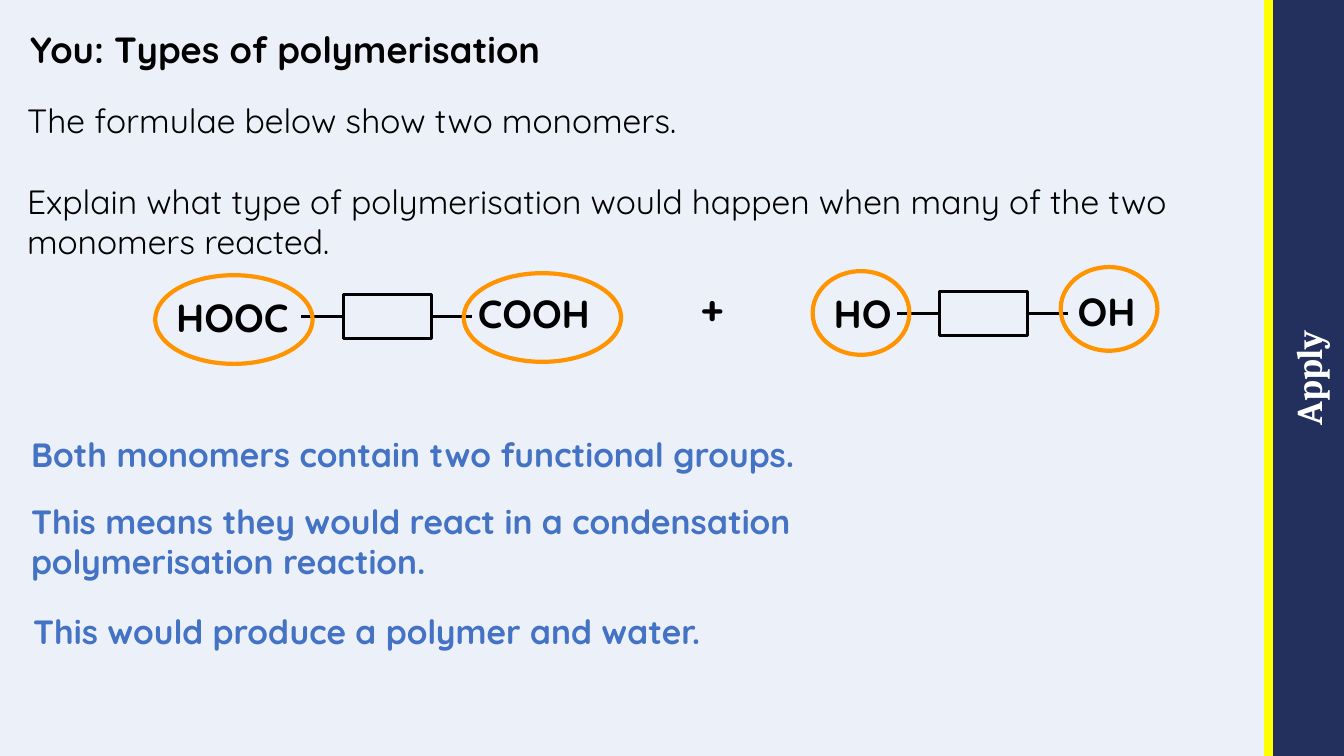
from dataclasses import dataclass

from lxml import etree
from pptx import Presentation
from pptx.dml.color import RGBColor
from pptx.enum import shapes, text
from pptx.oxml.ns import qn
from pptx.util import Inches, Pt


@dataclass(frozen=True)
class Theme:
    body: str = "Quicksand"
    serif: str = "Cambria"
    back: str = "ECF1F9"
    navy: str = "232F5D"
    yellow: str = "FFFF00"
    black: str = "000000"
    white: str = "FFFFFF"
    blue: str = "4472C4"
    orange: str = "FF9300"
    head: int = 26
    copy: int = 24
    label: int = 28
    bond: float = 2.25
    ring: float = 3
    stripe: float = 6


T = Theme()
KIND = shapes.MSO_SHAPE
MID = text.MSO_ANCHOR.MIDDLE


def rgb(code):
    return RGBColor.from_string(code)


def style(para, size, color, bold=False, face=T.body):
    font = para.font
    font.name, font.size, font.bold = face, Pt(size), bold
    font.color.rgb = rgb(color)


def write(slide, box, lines, size, color, bold=False, gap=0):
    """Add a text box with one paragraph per line, gap points apart."""
    frame = slide.shapes.add_textbox(*map(Inches, box)).text_frame
    frame.word_wrap = True
    for i, line in enumerate(lines):
        para = frame.add_paragraph() if i else frame.paragraphs[0]
        para.text = line
        if i:
            para.space_before = Pt(gap)
        style(para, size, color, bold)
    return frame


def outline(slide, kind, box, color, width):
    shape = slide.shapes.add_shape(kind, *map(Inches, box))
    shape.shadow.inherit = False
    shape.fill.background()
    shape.line.color.rgb = rgb(color)
    shape.line.width = Pt(width)
    return shape


def link(slide, start, end, color, width):
    line = slide.shapes.add_connector(
        shapes.MSO_CONNECTOR.STRAIGHT, *map(Inches, start + end))
    line.line.color.rgb = rgb(color)
    line.line.width = Pt(width)
    etree.SubElement(line._element.spPr, qn("a:effectLst"))
    return line


def sidebar(slide, box, label):
    """Draw the vertical band with its stripe and turned label."""
    x, y, w, h = box
    # A quarter turn swaps the sides about the same centre
    turned = (x + (w - h) / 2, y + (h - w) / 2, h, w)
    band = slide.shapes.add_shape(KIND.RECTANGLE, *map(Inches, turned))
    band.rotation = 270
    band.shadow.inherit = False
    band.fill.solid()
    band.fill.fore_color.rgb = rgb(T.navy)
    band.line.fill.background()
    frame = band.text_frame
    frame.margin_left = frame.margin_right = 0
    frame.margin_top = frame.margin_bottom = 0
    frame.vertical_anchor = MID
    para = frame.paragraphs[0]
    para.text = label
    para.alignment = text.PP_ALIGN.CENTER
    style(para, T.head, T.white, True, T.serif)
    link(slide, (x - 0.03, y), (x - 0.03, y + h), T.yellow, T.stripe)


def question(slide, box):
    x, y, w, h = box
    title = write(slide, (x + 0.03, y, 11.61, 0.79),
                  ["You: Types of polymerisation"], T.head, T.black, True)
    title.vertical_anchor = MID
    title.paragraphs[0].line_spacing = 0.9
    write(slide, (x, y + 0.82, w, h - 0.82), [
        "The formulae below show two monomers.",
        "Explain what type of polymerisation would happen when many of "
        "the two monomers reacted.",
    ], T.copy, T.black, gap=29)


def monomer(slide, box, ring, core, groups):
    """Draw a core block bonded to a ringed group on each side."""
    x, y, w, h = box
    block = outline(slide, KIND.RECTANGLE,
                    (x + core[0], y + core[1], 0.87, 0.44), T.black, T.bond)
    mid = y + core[1] + 0.22
    ends = ((x + core[0], -0.42, 1), (x + core[0] + 0.87, 0.4, 3))
    places = (x, x + w - ring[0])
    for (edge, reach, side), left, group in zip(ends, places, groups):
        name, drop, dx, dy, wide = group
        top = y + drop
        bond = link(slide, (edge + reach, mid), (edge, mid), T.black, T.bond)
        bond.end_connect(block, side)
        write(slide, (left + dx, top + dy, wide, 0.66), [name],
              T.label, T.black, True)
        outline(slide, KIND.OVAL, (left, top) + ring, T.orange, T.ring)


def reaction(slide, box):
    x, y, w, h = box
    # Each group: name, ring drop, label offset across and down, label width
    monomer(slide, (x, y + 0.06, 4.62, 0.9), (1.56, 0.88), (1.87, 0.21),
            [("HOOC", 0.02, 0.11, 0.13, 1.46), ("COOH", 0, 0.04, 0.11, 1.52)])
    write(slide, (x + 5.31, y + 0.12, 0.57, 0.66), ["+"],
          T.label, T.black, True)
    monomer(slide, (x + w - 3.42, y, 3.42, 0.87), (0.96, 0.83), (1.26, 0.24),
            [("HO", 0.04, 0.11, 0.13, 0.85), ("OH", 0, 0.07, 0.15, 0.93)])


def answer(slide, box):
    x, y, w, h = box
    for dx, dy, high, line in (
        (0, 0, 0.5, "Both monomers contain two functional groups."),
        (0, 0.66, 0.91, "This means they would react in a condensation "
                        "polymerisation reaction."),
        (0.02, 1.75, 0.5, "This would produce a polymer and water."),
    ):
        write(slide, (x + dx, y + dy, w, high), [line], T.copy, T.blue, True)


def main():
    deck = Presentation()
    deck.slide_width, deck.slide_height = Inches(13.33), Inches(7.5)
    slide = deck.slides.add_slide(deck.slide_layouts[6])
    slide.background.fill.solid()
    slide.background.fill.fore_color.rgb = rgb(T.back)

    sidebar(slide, (12.61, 0, 0.72, 7.5), "Apply")
    question(slide, (0.17, 0.12, 12.05, 2.54))
    reaction(slide, (1.54, 2.65, 9.94, 0.96))
    answer(slide, (0.21, 4.26, 9.51, 2.25))
    deck.save("out.pptx")


if __name__ == "__main__":
    main()
